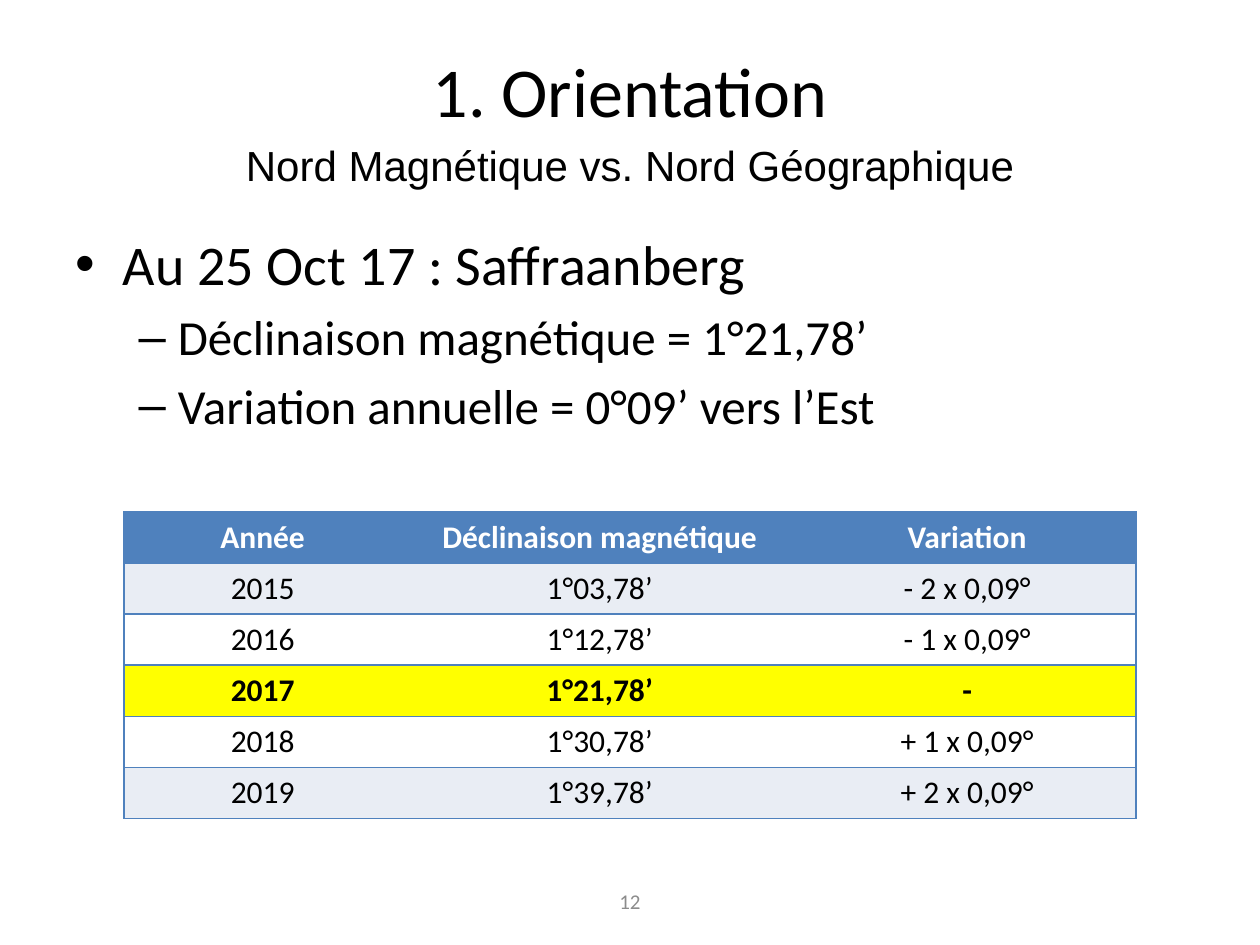
from dataclasses import dataclass

from lxml import etree
from pptx import Presentation
from pptx.dml.color import RGBColor
from pptx.enum.text import MSO_ANCHOR, MSO_AUTO_SIZE, PP_ALIGN
from pptx.oxml.ns import qn
from pptx.util import Cm, Pt

LEFT, CENTER = PP_ALIGN.LEFT, PP_ALIGN.CENTER
TOP, MIDDLE = MSO_ANCHOR.TOP, MSO_ANCHOR.MIDDLE
NO_AUTOFIT = MSO_AUTO_SIZE.NONE


@dataclass(frozen=True)
class Theme:
    heading_font: str = "Calibri"
    subtitle_font: str = "Arial"
    black: str = "000000"
    white: str = "FFFFFF"
    blue: str = "4F81BD"
    pale: str = "E9EDF4"
    yellow: str = "FFFF00"
    gray: str = "8C8C8C"
    title: int = 40
    bullet: int = 32
    detail: int = 28
    subtitle: int = 24
    table: int = 18
    number: int = 12


THEME = Theme()

BULLET_STYLES = [
    {"size": THEME.bullet, "bullet": "•", "margin": 0.95, "hanging": 0.95},
    {"size": THEME.detail, "bullet": "–", "margin": 2.06, "hanging": 0.79},
]
BULLETS = [
    (0, "Au 25 Oct 17 : Saffraanberg"),
    (1, "Déclinaison magnétique = 1°21,78’"),
    (1, "Variation annuelle = 0°09’ vers l’Est"),
]

COLUMN_WIDTHS = [5.59, 8, 6.81]
ROW_HEIGHT = 1.03
DECLINATION_ROWS = [
    ("Année", "Déclinaison magnétique", "Variation"),
    ("2015", "1°03,78’", "- 2 x 0,09°"),
    ("2016", "1°12,78’", "- 1 x 0,09°"),
    ("2017", "1°21,78’", "-"),
    ("2018", "1°30,78’", "+ 1 x 0,09°"),
    ("2019", "1°39,78’", "+ 2 x 0,09°"),
]
HEADER_ROW, CURRENT_YEAR_ROW = 0, 3


def write_text(paragraph, text, *, size, font=THEME.heading_font, color=THEME.black,
               bold=False, align=CENTER, before=0, line_spacing=1.0,
               bullet=None, margin=0, hanging=0):
    if bullet:
        properties = paragraph._p.get_or_add_pPr()
        properties.set("marL", str(Cm(margin)))
        properties.set("indent", str(-Cm(hanging)))
        etree.SubElement(properties, qn("a:buFont")).set("typeface", "Arial")
        etree.SubElement(properties, qn("a:buChar")).set("char", bullet)
    paragraph.alignment = align
    paragraph.space_before = Pt(before)
    paragraph.line_spacing = line_spacing
    run = paragraph.add_run()
    run.text = text
    run.font.name = font
    run.font.size = Pt(size)
    run.font.bold = bold
    run.font.color.rgb = RGBColor.from_string(color)


def set_frame(shape, left, top, width, height, anchor=TOP, top_margin=0.13):
    shape.left, shape.top = Cm(left), Cm(top)
    shape.width, shape.height = Cm(width), Cm(height)
    frame = shape.text_frame
    frame.word_wrap = True
    frame.auto_size = NO_AUTOFIT
    frame.vertical_anchor = anchor
    frame.margin_top = Cm(top_margin)
    return frame


def add_text_box(slide, text, *bounds, anchor=TOP, top_margin=0.13, **text_format):
    shape = slide.shapes.add_textbox(0, 0, 0, 0)
    frame = set_frame(shape, *bounds, anchor=anchor, top_margin=top_margin)
    write_text(frame.paragraphs[0], text, **text_format)


def fill_title(slide, text):
    frame = set_frame(slide.shapes.title, 1.27, 0.76, 22.86, 3.18, top_margin=0.2)
    write_text(frame.paragraphs[0], text, size=THEME.title)


def fill_bullets(slide, bullets):
    frame = set_frame(slide.placeholders[1], 1.27, 4.45, 22.86, 12.57, top_margin=0.18)
    for index, (level, text) in enumerate(bullets):
        paragraph = frame.add_paragraph() if index else frame.paragraphs[0]
        paragraph.level = level
        style = BULLET_STYLES[level]
        before = style["size"] * 0.2 if index else 0
        write_text(paragraph, text, align=LEFT, before=before, **style)


def set_borders(cell, colors):
    properties = cell._tc.get_or_add_tcPr()
    for side, color in colors.items():
        line = etree.SubElement(properties, qn(f"a:ln{side}"), w=str(Pt(1)))
        if color:
            fill = etree.SubElement(line, qn("a:solidFill"))
            etree.SubElement(fill, qn("a:srgbClr")).set("val", color)
        else:
            etree.SubElement(line, qn("a:noFill"))


def row_fill(row):
    if row == HEADER_ROW:
        return THEME.blue
    if row == CURRENT_YEAR_ROW:
        return THEME.yellow
    return THEME.pale if row in (1, len(DECLINATION_ROWS) - 1) else THEME.white


def add_declination_table(slide, rows):
    last_column = len(COLUMN_WIDTHS) - 1
    table = slide.shapes.add_table(
        len(rows), len(COLUMN_WIDTHS), Cm(2.5), Cm(10.32),
        Cm(sum(COLUMN_WIDTHS)), Cm(ROW_HEIGHT * len(rows))).table
    for column, width in zip(table.columns, COLUMN_WIDTHS):
        column.width = Cm(width)
    for row, values in enumerate(rows):
        table.rows[row].height = Cm(ROW_HEIGHT)
        for column, value in enumerate(values):
            cell = table.cell(row, column)
            set_borders(cell, {
                "L": THEME.blue if column == 0 else None,
                "R": THEME.blue if column == last_column else None,
                "T": THEME.blue,
                "B": THEME.blue,
            })
            cell.fill.solid()
            cell.fill.fore_color.rgb = RGBColor.from_string(row_fill(row))
            write_text(cell.text_frame.paragraphs[0], value, size=THEME.table,
                       color=THEME.white if row == HEADER_ROW else THEME.black,
                       bold=row in (HEADER_ROW, CURRENT_YEAR_ROW))


def main():
    presentation = Presentation()
    presentation.slide_width, presentation.slide_height = Cm(25.4), Cm(19.05)
    slide = presentation.slides.add_slide(presentation.slide_layouts[1])
    add_text_box(slide, "12", 8.68, 17.66, 8.04, 1.01, anchor=MIDDLE,
                 size=THEME.number, color=THEME.gray)
    add_text_box(slide, "Nord Magnétique vs. Nord Géographique", 0, 2.72, 25.4, 7.8,
                 top_margin=0.2, size=THEME.subtitle, font=THEME.subtitle_font,
                 line_spacing=0.9)
    fill_title(slide, "1. Orientation")
    fill_bullets(slide, BULLETS)
    add_declination_table(slide, DECLINATION_ROWS)
    presentation.save("out.pptx")


if __name__ == "__main__":
    main()
